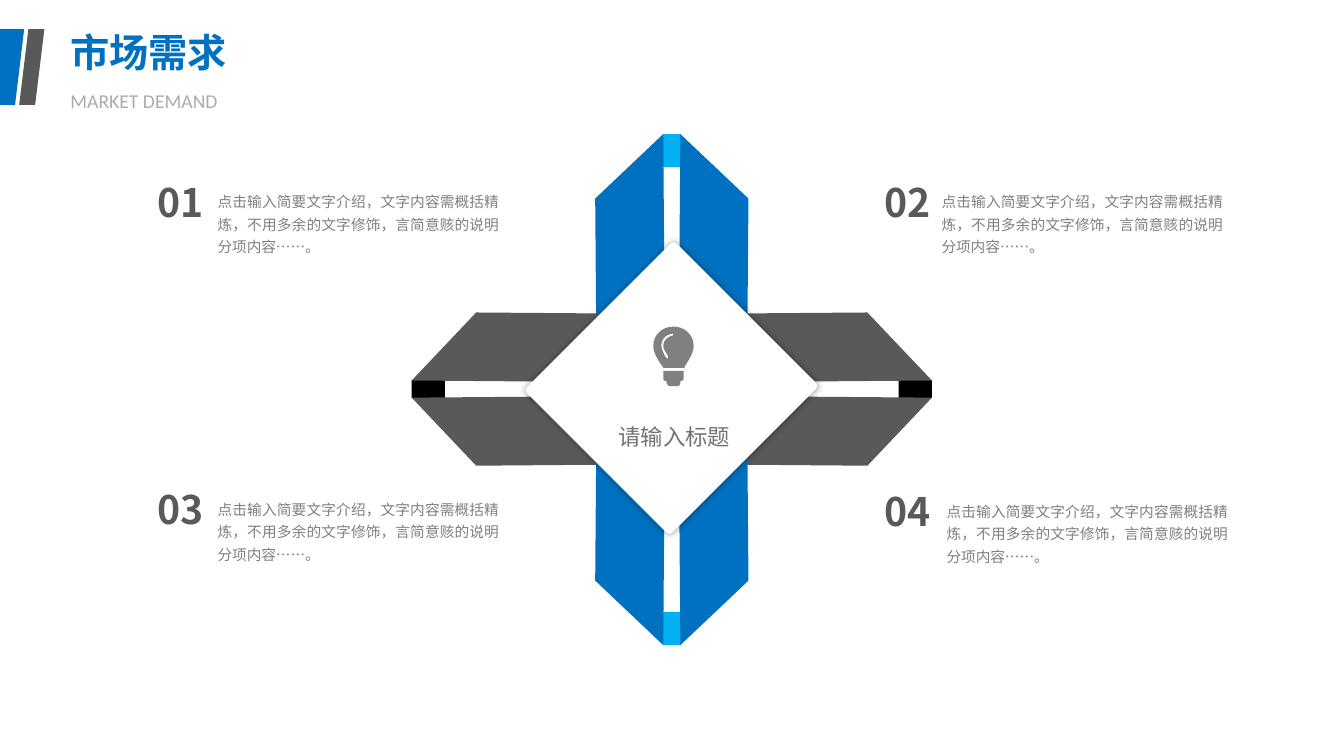
from dataclasses import dataclass

from lxml import etree
from pptx import Presentation
from pptx.dml.color import RGBColor
from pptx.enum.shapes import MSO_SHAPE
from pptx.enum.text import MSO_ANCHOR, PP_ALIGN
from pptx.oxml.ns import qn
from pptx.util import Inches, Pt

RECT = MSO_SHAPE.RECTANGLE
ROUND = MSO_SHAPE.ROUNDED_RECTANGLE
SLANT = MSO_SHAPE.PARALLELOGRAM
CENTER = PP_ALIGN.CENTER
JUSTIFY = PP_ALIGN.JUSTIFY
TOP = MSO_ANCHOR.TOP


@dataclass(frozen=True)
class Theme:
    blue: str = "0070C0"
    sky: str = "00B0F0"
    dark: str = "595959"
    black: str = "000000"
    white: str = "FFFFFF"
    gray: str = "808080"
    label: str = "767171"
    cjk: str = "Noto Sans CJK SC"
    latin: str = "Calibri"
    heading: float = 28
    center: float = 16
    subtitle: float = 14
    body: float = 10.5
    leading: float = 16


class Deck:
    columns, rows = 133.3, 75

    def __init__(self, theme):
        self.theme = theme
        self.prs = Presentation()
        self.prs.slide_width = Inches(13.33)
        self.prs.slide_height = Inches(7.5)
        self.s = self.prs.slides.add_slide(self.prs.slide_layouts[6])

    def x(self, column):
        return round(self.prs.slide_width * column / self.columns)

    def y(self, row):
        return round(self.prs.slide_height * row / self.rows)

    def paint(self, sp, color):
        sp.shadow.inherit = False
        sp.fill.solid()
        sp.fill.fore_color.rgb = RGBColor.from_string(color)
        sp.line.fill.background()
        return sp

    def shape(self, kind, left, top, width, height, color, adjust=None, turn=0):
        sp = self.s.shapes.add_shape(kind, self.x(left), self.y(top), self.x(width), self.y(height))
        sp.rotation = turn
        if adjust is not None:
            sp.adjustments[0] = adjust
        return self.paint(sp, color)

    def outline(self, contours, color):
        contours = [[(self.x(c), self.y(r)) for c, r in points] for points in contours]
        builder = self.s.shapes.build_freeform(*contours[0][0])
        for i, points in enumerate(contours):
            if i:
                builder.move_to(*points[0])
            builder.add_line_segments(points[1:], close=True)
        return self.paint(builder.convert_to_shape(), color)

    def text(self, left, top, width, height, words, size, color, font=None,
             bold=False, align=JUSTIFY, spacing=None, alpha=None):
        font = font or self.theme.cjk
        sp = self.s.shapes.add_textbox(self.x(left), self.y(top), self.x(width), self.y(height))
        tf = sp.text_frame
        tf.word_wrap = True
        tf.vertical_anchor = TOP
        p = tf.paragraphs[0]
        p.alignment = align
        if spacing:
            p.line_spacing = spacing
        r = p.add_run()
        r.text = words
        r.font.size = Pt(size)
        r.font.bold = bold
        r.font.name = font
        r.font.color.rgb = RGBColor.from_string(color)
        props = r.font._element
        etree.SubElement(props, qn("a:ea")).set("typeface", font)
        if alpha:
            tint = props.find(qn("a:solidFill"))[0]
            etree.SubElement(tint, qn("a:alpha")).set("val", str(alpha * 1000))

    def glow(self, sp, color, blur, alpha):
        effects = sp._element.spPr.find(qn("a:effectLst"))
        shadow = etree.SubElement(effects, qn("a:outerShdw"), blurRad=str(Pt(blur)), dist="0")
        tint = etree.SubElement(shadow, qn("a:srgbClr"), val=color)
        etree.SubElement(tint, qn("a:alpha"), val=str(alpha * 1000))


def curve(start, *segments, steps=8):
    points = [start]
    for b, c, d in segments:
        a = points[-1]
        for i in range(1, steps + 1):
            t = i / steps
            u = 1 - t
            points.append(tuple(
                u ** 3 * a[k] + 3 * u * u * t * b[k] + 3 * u * t * t * c[k] + t ** 3 * d[k]
                for k in (0, 1)))
    return points


def draw_header(deck):
    th = deck.theme
    deck.text(6, 2.3, 22.6, 5.7, "市场需求", th.heading, th.blue, bold=True)
    deck.shape(SLANT, -1.2, 2.9, 3.6, 7.5, th.blue)
    deck.shape(SLANT, 1.9, 2.9, 2.5, 7.5, th.dark, 0.366)
    deck.text(6, 8.3, 17.4, 3.4, "MARKET DEMAND", th.subtitle, th.dark, th.latin, alpha=50)


def draw_arms(deck):
    th = deck.theme
    cx, cy = 66.63, 38.6
    tab, depth = 1.8, 3.3
    for dx, dy, tip, color, tab_color in (
            (0, -1, 25.3, th.blue, th.sky), (1, 0, 25.8, th.dark, th.black),
            (-1, 0, 25.8, th.dark, th.black), (0, 1, 25.4, th.blue, th.sky)):
        def place(along, across):
            return cx + dx * along + dy * across, cy + dy * along + dx * across

        mid_x, mid_y = place(tip - depth / 2, 0)
        w, h = (depth, tab) if dx else (tab, depth)
        deck.shape(RECT, mid_x - w / 2, mid_y - h / 2, w, h, tab_color)
        for side in (-1, 1):
            ribbon = ((tip, 0.85), (tip - 6.4, 7.6), (tip - 19.2, 7.5), (tip - 19.2, 0.7))
            deck.outline([[place(along, side * across) for along, across in ribbon]], color)


def draw_center(deck):
    th = deck.theme
    diamond = deck.shape(ROUND, 56.4, 28, 20.4, 21, th.white, 0.022, 45)
    deck.glow(diamond, th.black, 5, 40)
    base = curve(
        (65.8, 36.8),
        ((65.8, 37.3), (65.8, 37.6), (65.8, 37.6)),
        ((65.8, 37.7), (65.9, 37.8), (66.1, 37.8)),
        ((66.1, 38.1), (66.3, 38.3), (66.4, 38.3)),
        ((66.7, 38.3), (67, 38.3), (67.2, 38.3)),
        ((67.4, 38.3), (67.5, 38.1), (67.5, 37.8)),
        ((67.7, 37.8), (67.8, 37.7), (67.8, 37.6)),
        ((67.8, 37.3), (67.8, 37), (67.8, 36.8)))
    bulb = curve(
        (66.8, 32.4),
        ((65.7, 32.4), (64.8, 33.2), (64.8, 34.3)),
        ((64.8, 34.9), (65.1, 35.4), (65.4, 35.9)),
        ((65.5, 36.1), (65.7, 36.3), (65.8, 36.5)),
        ((66.5, 36.5), (67.2, 36.5), (67.9, 36.5)),
        ((67.9, 36.3), (68.1, 36.1), (68.2, 35.9)),
        ((68.5, 35.4), (68.8, 34.9), (68.8, 34.3)),
        ((68.8, 33.2), (67.9, 32.4), (66.8, 32.4)))
    shine = curve(
        (66.7, 33.3),
        ((66.2, 33.4), (65.8, 33.8), (65.8, 34.3)),
        ((65.8, 34.6), (66, 34.9), (66.2, 35.2)),
        ((66.3, 35.4), (66.3, 35.5), (66.2, 35.6)),
        ((66.1, 35.5), (66.1, 35.5), (66, 35.4)),
        ((65.8, 35), (65.6, 34.6), (65.6, 34.3)),
        ((65.6, 33.7), (66, 33.2), (66.7, 33.1)),
        ((66.8, 33.1), (66.8, 33.3), (66.7, 33.3)))
    deck.outline([base], th.gray)
    deck.outline([bulb, shine], th.gray)
    deck.text(59.6, 38.8, 14.6, 6.4, "请输入标题", th.center, th.label, align=CENTER, spacing=2.0)


def draw_notes(deck):
    th = deck.theme
    note = "点击输入简要文字介绍，文字内容需概括精炼，不用多余的文字修饰，言简意赅的说明分项内容……。"
    for number, left, top, gap in (("01", 13.8, 17.2, 6.8), ("02", 85.9, 17.2, 6.5),
                                   ("03", 13.8, 47.7, 6.8), ("04", 85.9, 47.9, 7)):
        deck.text(left, top, 8.2, 5.7, number, th.heading, th.dark, bold=True, align=CENTER)
        deck.text(left + gap, top + 1, 29.9, 7.5, note, th.body, th.gray, spacing=Pt(th.leading))


def main():
    deck = Deck(Theme())
    draw_arms(deck)
    draw_center(deck)
    draw_notes(deck)
    draw_header(deck)
    deck.prs.save("out.pptx")


if __name__ == "__main__":
    main()
